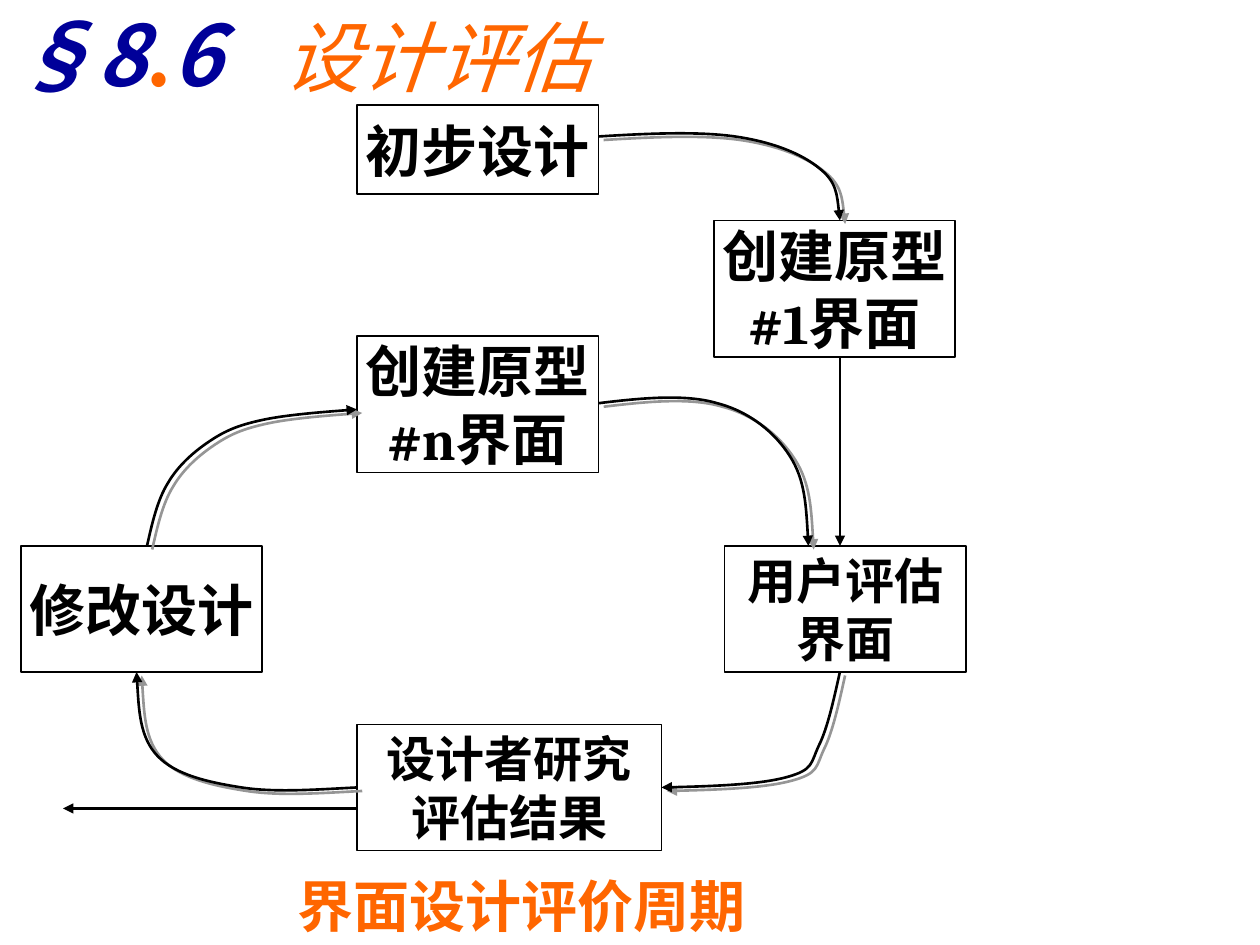
from typing import NamedTuple

from lxml import etree
from pptx import Presentation
from pptx.dml.color import RGBColor
from pptx.enum.shapes import MSO_CONNECTOR, MSO_SHAPE
from pptx.enum.text import MSO_ANCHOR, MSO_AUTO_SIZE, PP_ALIGN
from pptx.oxml.ns import qn
from pptx.util import Inches, Pt

RECTANGLE = MSO_SHAPE.RECTANGLE
STRAIGHT = MSO_CONNECTOR.STRAIGHT
MIDDLE = MSO_ANCHOR.MIDDLE
NO_FIT, GROW = MSO_AUTO_SIZE.NONE, MSO_AUTO_SIZE.SHAPE_TO_FIT_TEXT
LEFT, CENTER = PP_ALIGN.LEFT, PP_ALIGN.CENTER

CELL = Inches(1) // 12  # the slide is a grid of 120 columns by 90 rows
SERIF, SANS = "Cambria", "Noto Sans CJK SC"
BLACK, WHITE, GREY, ORANGE, NAVY = "000000", "FFFFFF", "969696", "FF6600", "000099"

Point = tuple[float, float]


class Step(NamedTuple):
    lines: tuple[str, ...]
    col: float
    row: float
    rows: float
    cols: float = 23
    size: int = 32


class TitlePart(NamedTuple):
    text: str
    size: int
    color: str
    bold: bool
    italic: bool


STEPS = [
    Step(("初步设计",), 34, 10, 8.5),
    Step(("创建原型", "#n界面"), 34, 32, 13),
    Step(("修改设计",), 2, 52, 12),
    Step(("用户评估", "界面"), 69, 52, 12, size=28),
    Step(("设计者研究", "评估结果"), 34, 69, 12, cols=29, size=28),
    Step(("创建原型", "#1界面"), 68, 21, 13),
]

# Each curve: a start, then two control points and an end per Bézier segment
CURVES: list[list[Point]] = [
    [(57, 13), (61.8, 12.7), (66.5, 12.5), (70, 13), (73.5, 13.5), (76.3, 14.6),
     (78, 16), (79.7, 17.3), (79.8, 19.2), (80, 21)],
    [(57, 38.4), (61.1, 37.9), (65.3, 37.5), (68.3, 38.4), (71.4, 39.2), (73.8, 41.2),
     (75.2, 43.4), (76.7, 45.7), (76.8, 48.8), (77, 52)],
    [(14, 52), (14.5, 49.8), (15, 47.6), (16, 46), (17, 44.3), (18.5, 43), (20, 42),
     (21.5, 41), (22.7, 40.5), (25, 40), (27.3, 39.5), (32.5, 39.1), (34, 39)],
    [(80, 64), (79.4, 66.7), (78.8, 69.4), (78, 71), (77.2, 72.7), (77.5, 73.3),
     (75, 74), (72.5, 74.7), (67.8, 74.9), (63, 75)],
    [(34, 75), (30.1, 75.2), (26.2, 75.5), (23, 75), (19.8, 74.5), (16.7, 73.8),
     (15, 72), (13.3, 70.2), (13.2, 67.1), (13, 64)],
]
STRAIGHT_ARROWS: list[tuple[Point, Point]] = [((80, 34), (80, 52)), ((34, 77), (6, 77))]

TITLE = [
    TitlePart("§8", 48, NAVY, True, True),
    TitlePart(".", 44, ORANGE, True, False),
    TitlePart("6\t", 48, NAVY, True, True),
    TitlePart("设计评估", 44, ORANGE, False, True),
]


def grid(*values: float) -> list[int]:
    return [round(value * CELL) for value in values]


def paint(color_format, color: str) -> None:
    color_format.rgb = RGBColor.from_string(color)


def add_run(paragraph, text: str, color: str, face: str, **formats) -> None:
    run = paragraph.add_run()
    run.text = text
    for name, value in {"name": face, **formats}.items():
        setattr(run.font, name, value)
    paint(run.font.color, color)
    etree.SubElement(run.font._element, qn("a:ea"), typeface=SANS)


def write_centered(frame, lines: tuple[str, ...], color: str, size: int) -> None:
    for index, line in enumerate(lines):
        paragraph = frame.add_paragraph() if index else frame.paragraphs[0]
        paragraph.alignment = CENTER
        add_run(paragraph, line, color, SERIF, size=Pt(size), bold=True)


def style_arrow(arrow) -> None:
    arrow.line.width = Pt(1.5)
    paint_line(arrow.line)
    etree.SubElement(arrow.line._get_or_add_ln(), qn("a:tailEnd"), type="triangle")


def paint_line(line) -> None:
    line.fill.solid()
    paint(line.fill.fore_color, BLACK)


def add_step(slide, step: Step) -> None:
    box = slide.shapes.add_shape(RECTANGLE, *grid(step.col, step.row, step.cols, step.rows))
    box.shadow.inherit = False
    box.fill.solid()
    paint(box.fill.fore_color, WHITE)
    white = box._element.spPr.find(qn("a:solidFill"))[0]
    etree.SubElement(white, qn("a:alpha"), val="50000")
    paint_line(box.line)
    box.line.width = Pt(1)
    frame = box.text_frame
    frame.word_wrap = False
    frame.vertical_anchor = MIDDLE
    write_centered(frame, step.lines, BLACK, step.size)


def add_curve(slide, points: list[Point]) -> None:
    start, *rest = [grid(*point) for point in points]
    builder = slide.shapes.build_freeform(*start)
    builder.add_line_segments(rest, close=False)
    curve = builder.convert_to_shape()
    curve.fill.background()
    style_arrow(curve)

    # Group every three points into one Bézier segment
    outline = next(curve._element.iter(qn("a:path")))
    segments = outline.findall(qn("a:lnTo"))
    for index in range(0, len(segments), 3):
        bezier = etree.SubElement(outline, qn("a:cubicBezTo"))
        for segment in segments[index:index + 3]:
            bezier.append(segment[0])
            outline.remove(segment)

    # Hard grey shadow, 3.6 pt away at 34 degrees
    curve.shadow.inherit = False
    effects = curve._element.spPr.find(qn("a:effectLst"))
    shadow = etree.SubElement(effects, qn("a:outerShdw"), blurRad="0", dist=str(Pt(3.6)),
                              dir=str(34 * 60000), algn="ctr", rotWithShape="0")
    etree.SubElement(shadow, qn("a:srgbClr"), val=GREY)


def add_straight_arrow(slide, start: Point, end: Point) -> None:
    arrow = slide.shapes.add_connector(STRAIGHT, *grid(*start, *end))
    style_arrow(arrow)
    etree.SubElement(arrow._element.spPr, qn("a:effectLst"))


def fill_title(title) -> None:
    title.left, title.top, title.width, title.height = grid(0, 2, 104, 6)
    frame = title.text_frame
    frame.auto_size = NO_FIT
    frame.word_wrap = True
    frame.vertical_anchor = MIDDLE
    paragraph = frame.paragraphs[0]
    paragraph.alignment = LEFT
    tabs = etree.SubElement(paragraph._p.get_or_add_pPr(), qn("a:tabLst"))
    etree.SubElement(tabs, qn("a:tab"), pos=str(Inches(2.15)), algn="l")
    for part in TITLE:
        add_run(paragraph, part.text, part.color, SANS,
                size=Pt(part.size), bold=part.bold, italic=part.italic)


def add_caption(slide, text: str) -> None:
    frame = slide.shapes.add_textbox(*grid(17.4, 82.4, 64.6, 7.6)).text_frame
    frame.word_wrap = True
    frame.auto_size = GROW
    write_centered(frame, (text,), ORANGE, 32)


def main() -> None:
    deck = Presentation()
    deck.slide_width, deck.slide_height = grid(120, 90)
    slide = deck.slides.add_slide(deck.slide_layouts[5])
    fill_title(slide.shapes.title)
    for step in STEPS:
        add_step(slide, step)
    for curve in CURVES:
        add_curve(slide, curve)
    for start, end in STRAIGHT_ARROWS:
        add_straight_arrow(slide, start, end)
    add_caption(slide, "界面设计评价周期")
    deck.save("out.pptx")


if __name__ == "__main__":
    main()
